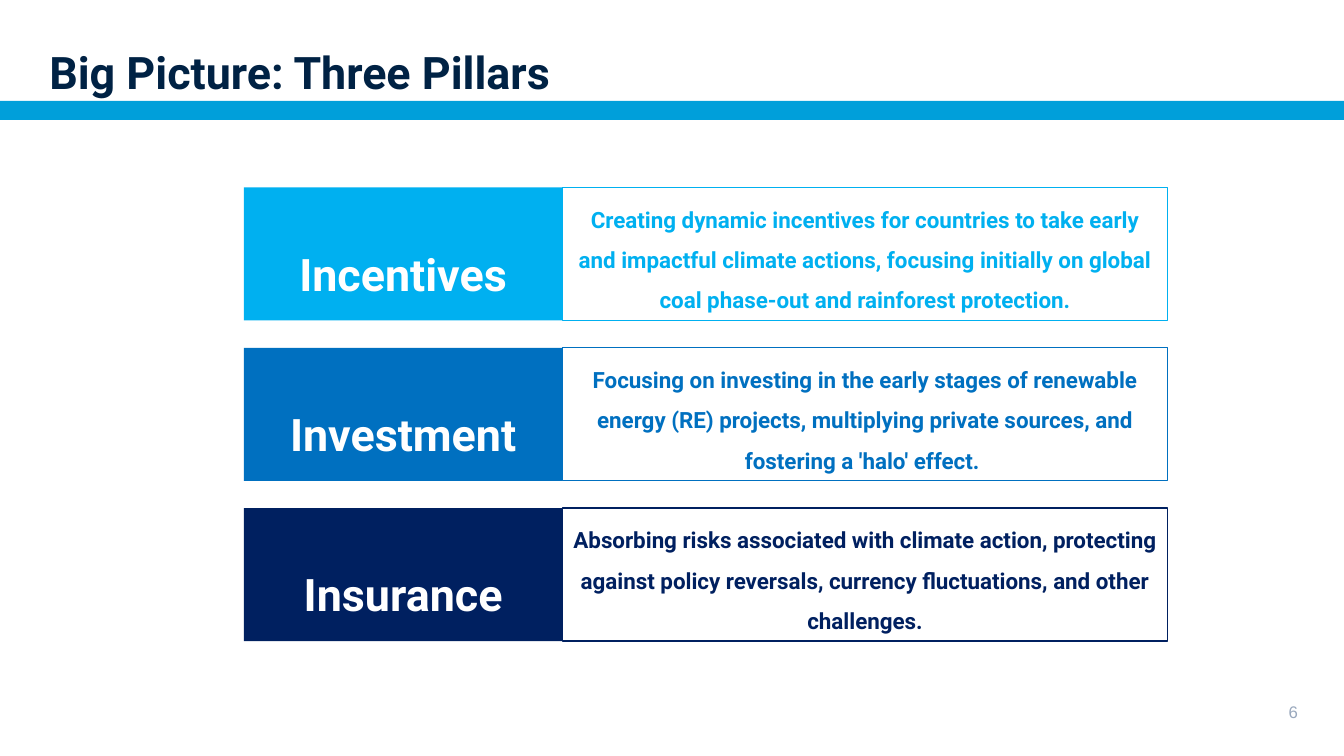
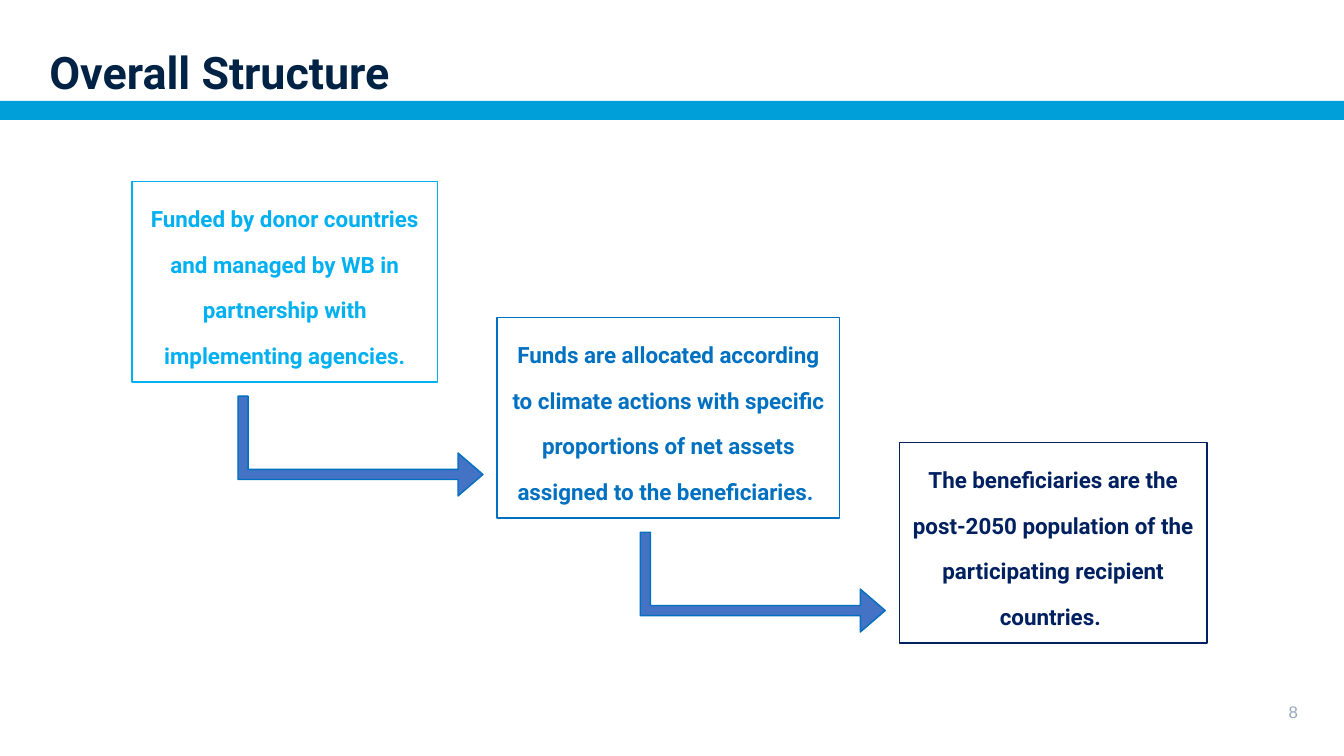
from dataclasses import dataclass

from pptx import Presentation
from pptx.dml.color import RGBColor
from pptx.enum.shapes import MSO_SHAPE
from pptx.enum.text import MSO_ANCHOR, PP_ALIGN
from pptx.util import Inches, Pt


@dataclass(frozen=True)
class Theme:
    heading_font: str = "Roboto"
    number_font: str = "Arial"
    title: str = "002244"
    band: str = "009FDA"
    number: str = "99A8BD"
    arrow: str = "4472C4"
    white: str = "FFFFFF"
    sky: str = "00B0F0"
    blue: str = "0070C0"
    navy: str = "002060"
    large: int = 32
    body: int = 16
    small: int = 12


THEME = Theme()
WIDTH, HEIGHT = 13.33, 7.5
STAGE_COLORS = (THEME.sky, THEME.blue, THEME.navy)

PILLARS = [
    ("Incentives", "Creating dynamic incentives for countries to take early and impactful "
     "climate actions, focusing initially on global coal phase-out and rainforest protection."),
    ("Investment", "Focusing on investing in the early stages of renewable energy (RE) projects, "
     "multiplying private sources, and fostering a 'halo' effect. "),
    ("Insurance", "Absorbing risks associated with climate action, protecting against policy "
     "reversals, currency fluctuations, and other challenges."),
]
PILLAR_LEFT, PILLAR_TOP, PILLAR_HEIGHT, PILLAR_GAP = 2.42, 1.86, 1.32, 0.27
LABEL_WIDTH, DETAIL_WIDTH = 3.16, 6

# Each step: left, top, width, text
STEPS = [
    (1.31, 1.8, 3.03, "Funded by donor countries and managed by WB in partnership with "
     "implementing agencies."),
    (4.93, 3.15, 3.4, "Funds are allocated according to climate actions with specific "
     "proportions of net assets assigned to the beneficiaries. "),
    (8.92, 4.39, 3.05, "The beneficiaries are the post-2050 population of the participating "
     "recipient countries. "),
]
STEP_HEIGHT = 1.99
ARROW_LENGTH, ARROW_DROP, ARROW_GAP = 2.43, 0.99, 0.14
ARROW_ADJUSTMENTS = (0.101, 0.215, 0.25)


def color(value):
    return RGBColor.from_string(value)


def write(box, text, size, tint, font=THEME.heading_font, bold=True,
          align=PP_ALIGN.CENTER, anchor=MSO_ANCHOR.TOP, spacing=1.0):
    frame = box.text_frame
    frame.word_wrap = True
    frame.vertical_anchor = anchor
    para = frame.paragraphs[0]
    para.alignment = align
    para.line_spacing = spacing
    span = para.add_run()
    span.text = text
    span.font.name = font
    span.font.size = Pt(size)
    span.font.bold = bold
    span.font.color.rgb = color(tint)


def add_box(page, place, fill=None, line=None, shape=MSO_SHAPE.RECTANGLE):
    box = page.shapes.add_shape(shape, *map(Inches, place))
    box.shadow.inherit = False
    if fill:
        box.fill.solid()
        box.fill.fore_color.rgb = color(fill)
    else:
        box.fill.background()
    if line:
        box.line.color.rgb = color(line)
        box.line.width = Pt(1)
    else:
        box.line.fill.background()
    return box


def add_page(deck, title, number):
    """Add a blank page with the shared band, title and page number."""
    page = deck.slides.add_slide(deck.slide_layouts[6])
    add_box(page, (0, 1, WIDTH, 0.19), fill=THEME.band)
    heading = page.shapes.add_textbox(*map(Inches, (0.39, 0.33, 12.49, 0.83)))
    write(heading, title, THEME.large, THEME.title, align=PP_ALIGN.LEFT,
          anchor=MSO_ANCHOR.MIDDLE, spacing=0.9)
    footer = page.shapes.add_textbox(*map(Inches, (12.18, 6.91, 0.79, 0.3)))
    write(footer, str(number), THEME.small, THEME.number, font=THEME.number_font,
          bold=False, align=PP_ALIGN.RIGHT, anchor=MSO_ANCHOR.MIDDLE)
    return page


def add_pillars(page):
    for row, ((name, detail), tint) in enumerate(zip(PILLARS, STAGE_COLORS)):
        top = PILLAR_TOP + row * (PILLAR_HEIGHT + PILLAR_GAP)
        label = add_box(page, (PILLAR_LEFT, top, LABEL_WIDTH, PILLAR_HEIGHT), fill=tint)
        write(label, name, THEME.large, THEME.white, spacing=2.0)
        panel = add_box(page, (PILLAR_LEFT + LABEL_WIDTH, top, DETAIL_WIDTH, PILLAR_HEIGHT),
                        line=tint)
        write(panel, detail, THEME.body, tint, spacing=1.5)


def add_step_arrow(page, step_bottom, next_left):
    """Lead from below one step to the left of the next; the shape is turned a quarter."""
    center_x = next_left - ARROW_GAP - ARROW_LENGTH / 2
    center_y = step_bottom + ARROW_GAP + ARROW_DROP / 2
    arrow = add_box(page, (center_x - ARROW_DROP / 2, center_y - ARROW_LENGTH / 2,
                           ARROW_DROP, ARROW_LENGTH),
                    fill=THEME.arrow, line=THEME.blue, shape=MSO_SHAPE.BENT_UP_ARROW)
    for index, value in enumerate(ARROW_ADJUSTMENTS):
        arrow.adjustments[index] = value
    arrow.rotation = 90


def add_steps(page):
    for (left, top, width, text), tint in zip(STEPS, STAGE_COLORS):
        box = add_box(page, (left, top, width, STEP_HEIGHT), line=tint)
        write(box, text, THEME.body, tint, spacing=1.7)
    for step, following in zip(STEPS, STEPS[1:]):
        add_step_arrow(page, step[1] + STEP_HEIGHT, following[0])


def main():
    deck = Presentation()
    deck.slide_width, deck.slide_height = Inches(WIDTH), Inches(HEIGHT)
    add_pillars(add_page(deck, "Big Picture: Three Pillars", 6))
    add_steps(add_page(deck, "Overall Structure", 8))
    deck.save("out.pptx")


if __name__ == "__main__":
    main()
